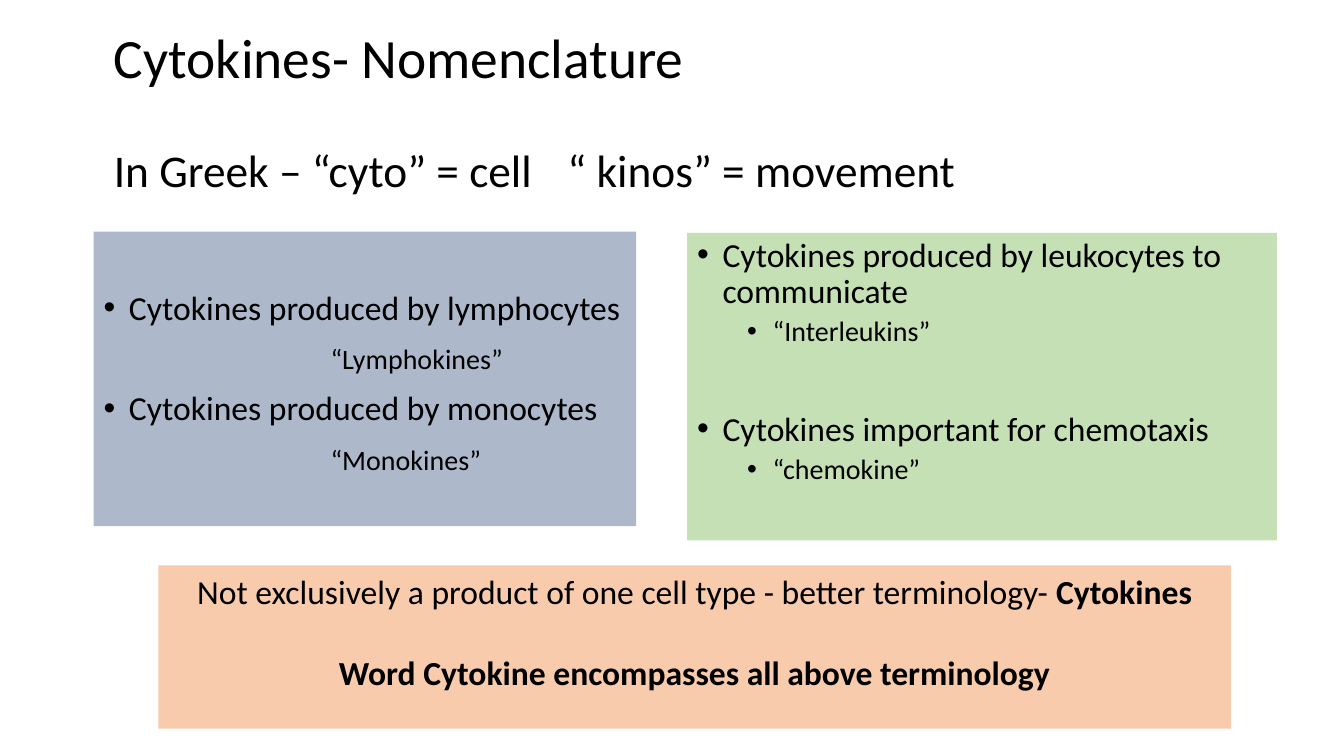
"""Build the slide on how cytokines are named."""
from lxml.etree import SubElement
from pptx import Presentation
from pptx.dml.color import RGBColor
from pptx.enum.shapes import MSO_SHAPE as Shape
from pptx.enum.text import MSO_ANCHOR as Anchor, PP_ALIGN as Align
from pptx.oxml.ns import qn
from pptx.util import Cm, Pt

BLACK = RGBColor(0x00, 0x00, 0x00)
BLUE = RGBColor(0xAD, 0xB9, 0xCA)
GREEN = RGBColor(0xC5, 0xE0, 0xB4)
ORANGE = RGBColor(0xF8, 0xCB, 0xAD)
FONT = "Calibri"
GREEK_TAB = 12.4

# Paragraph: (style, space before in points, text, bold ending)
TITLE = [
    ("title", 0, "Cytokines- Nomenclature", ""),
    ("greek", 41, "In Greek – “cyto” = cell\t“ kinos” = movement", ""),
]
CELL_SOURCES = [
    ("bullet", 0, "Cytokines produced by lymphocytes", ""),
    ("term", 13, "“Lymphokines”", ""),
    ("bullet", 11, "Cytokines produced by monocytes", ""),
    ("term", 13, "“Monokines”", ""),
]
ROLES = [
    ("bullet", 0, "Cytokines produced by leukocytes to communicate", ""),
    ("sub", 5, "“Interleukins”", ""),
    ("bullet", 46, "Cytokines important for chemotaxis", ""),
    ("sub", 5, "“chemokine”", ""),
]
SUMMARY = [
    ("centre", 0, "Not exclusively a product of one cell type - better terminology- ", "Cytokines"),
    ("centre", 29, "", "Word Cytokine encompasses all above terminology"),
]

# Style: (size, line spacing, left margin, first-line indent, bullet, level, alignment)
STYLES = {
    "title": (39.6, 0.9, 0, 0, "", 0, Align.LEFT),
    "greek": (32.4, 0.9, 0, 0, "", 0, Align.LEFT),
    "bullet": (24, 0.9, 0.64, -0.64, "•", 0, Align.LEFT),
    "sub": (20, 0.9, 1.9, -0.64, "•", 1, Align.LEFT),
    "term": (20, 0.9, 5.72, 0, "", 0, Align.LEFT),
    "centre": (24, 1.0, 0, 0, "", 0, Align.CENTER),
}

# Panel: (left, top, width, height, fill, top inset, paragraphs)
PANELS = [
    (2.62, 0.65, 28.58, 4.5, None, 0.13, TITLE),
    (2.36, 5.84, 13.67, 7.42, BLUE, 1.5, CELL_SOURCES),
    (17.32, 5.87, 14.86, 7.75, GREEN, 0.13, ROLES),
    (3.99, 14.25, 27.03, 4.11, ORANGE, 0.13, SUMMARY),
]


def write_paragraph(para, style, before, text, bold_ending):
    size, spacing, margin, indent, bullet, level, alignment = STYLES[style]
    properties = para._p.get_or_add_pPr()
    properties.set("marL", str(Cm(margin)))
    properties.set("indent", str(Cm(indent)))
    if bullet:
        SubElement(properties, qn("a:buFont"), typeface="Arial")
        SubElement(properties, qn("a:buChar"), char=bullet)
    else:
        SubElement(properties, qn("a:buNone"))
    if "\t" in text:
        tabs = SubElement(properties, qn("a:tabLst"))
        SubElement(tabs, qn("a:tab"), pos=str(Cm(GREEK_TAB)), algn="l")
    para.level = level
    para.alignment = alignment
    para.line_spacing = spacing
    para.space_before = Pt(before)
    for words, bold in ((text, False), (bold_ending, True)):
        if words:
            span = para.add_run()
            span.text = words
            span.font.name = FONT
            span.font.size = Pt(size)
            span.font.bold = bold
            span.font.color.rgb = BLACK


def add_panel(page, left, top, width, height, fill, inset, paragraphs):
    place = [Cm(length) for length in (left, top, width, height)]
    if fill is None:
        box = page.shapes.add_textbox(*place)
    else:
        box = page.shapes.add_shape(Shape.RECTANGLE, *place)
        box.shadow.inherit = False
        box.fill.solid()
        box.fill.fore_color.rgb = fill
        box.line.fill.background()
    frame = box.text_frame
    frame.word_wrap = True
    frame.vertical_anchor = Anchor.TOP
    frame.margin_top = Cm(inset)
    for index, content in enumerate(paragraphs):
        para = frame.add_paragraph() if index else frame.paragraphs[0]
        write_paragraph(para, *content)


def main():
    deck = Presentation()
    deck.slide_width, deck.slide_height = Cm(33.87), Cm(19.05)
    page = deck.slides.add_slide(deck.slide_layouts[6])
    for panel in PANELS:
        add_panel(page, *panel)
    deck.save("out.pptx")


if __name__ == "__main__":
    main()
